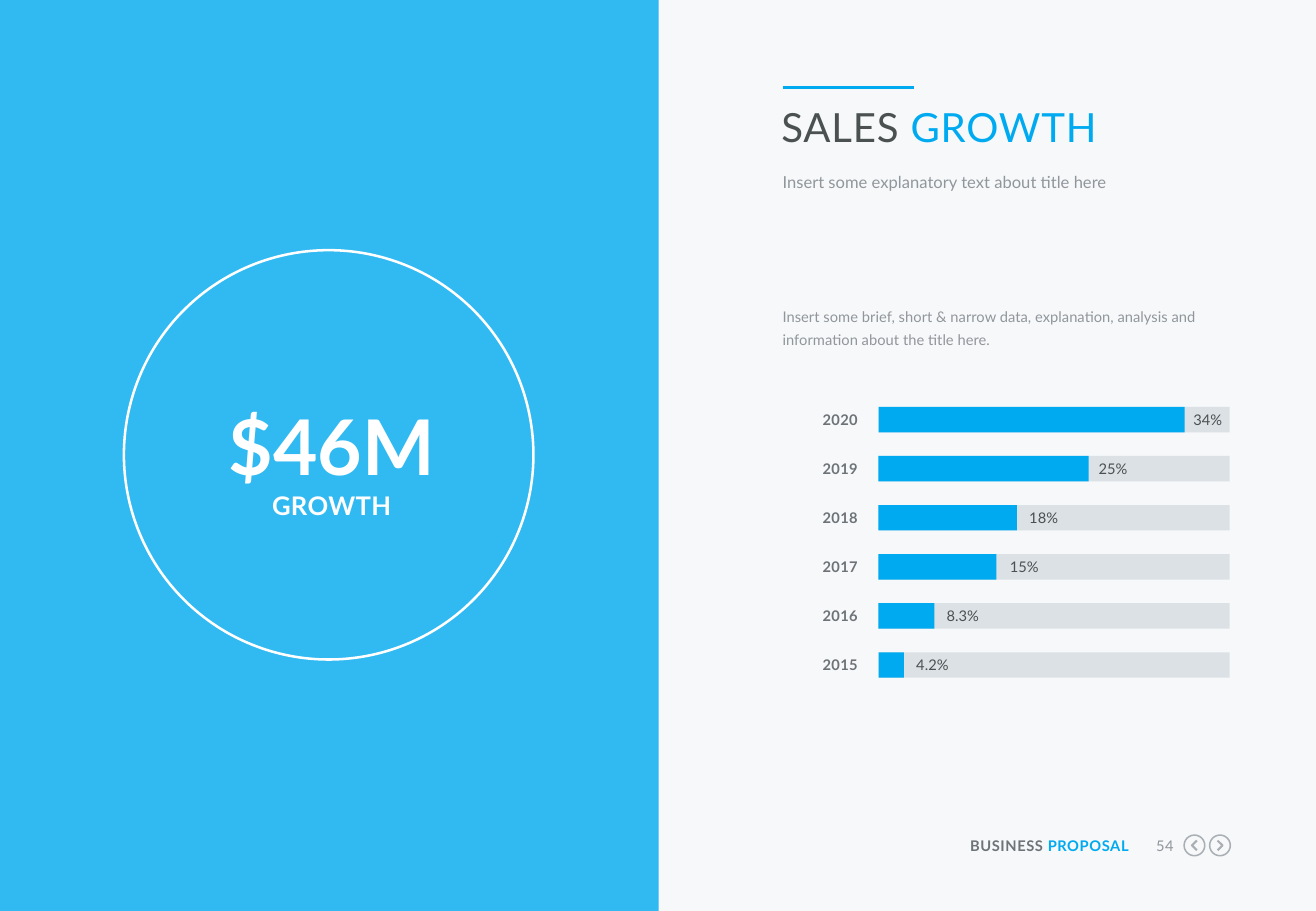
from dataclasses import dataclass

from lxml import etree
from pptx import Presentation
from pptx import util as u
from pptx.dml.color import RGBColor
from pptx.enum import shapes, text
from pptx.oxml.ns import qn

COLORS = {
    "background": "F6F8FA",
    "accent": "00AAF0",
    "track": "DCE1E6",
    "dark": "4B5050",
    "label": "6E7378",
    "muted": "91969B",
    "button": "AAAFB4",
    "white": "FFFFFF",
}
FONT = "Lato"
SMALL = 8.7
LEFT, RIGHT = text.PP_ALIGN.LEFT, text.PP_ALIGN.RIGHT
CENTER = text.PP_ALIGN.CENTER
RECTANGLE, OVAL = shapes.MSO_SHAPE.RECTANGLE, shapes.MSO_SHAPE.OVAL


@dataclass
class Area:
    left: float
    top: float
    width: float
    height: float

    def lengths(self) -> list:
        return [u.Inches(v) for v in (self.left, self.top, self.width, self.height)]


@dataclass
class Span:
    words: str
    size: float
    color: str
    bold: bool = False
    spacing: float = 0


@dataclass
class Bar:
    year: str
    share: str
    width: float
    share_left: float


@dataclass
class Button:
    center: float
    direction: int


BARS = [
    Bar("2020", "34%", 2.52, 9.82),
    Bar("2019", "25%", 1.73, 9.04),
    Bar("2018", "18%", 1.14, 8.47),
    Bar("2017", "15%", 0.97, 8.31),
    Bar("2016", "8.3%", 0.46, 7.79),
    Bar("2015", "4.2%", 0.21, 7.54),
]
BAR_LEFT, BAR_TOP, BAR_HEIGHT = 7.23, 3.35, 0.21
TRACK_WIDTH = 2.89
BAR_PITCH = (5.37 - BAR_TOP) / (len(BARS) - 1)
BUTTONS = [Button(9.83, -1), Button(10.04, 1)]
BUTTON_MIDDLE, BUTTON_SIZE = 6.96, 0.17


def rgb(name: str) -> RGBColor:
    return RGBColor.from_string(COLORS[name])


def fill_frame(frame, spans: list[Span], align=LEFT, line_spacing=1.0) -> None:
    """Write one paragraph of spans into a text frame without margins."""
    frame.margin_left = frame.margin_right = frame.margin_top = frame.margin_bottom = 0
    frame.word_wrap = True
    frame.auto_size = text.MSO_AUTO_SIZE.NONE
    frame.vertical_anchor = text.MSO_ANCHOR.TOP
    para = frame.paragraphs[0]
    para.alignment = align
    para.line_spacing = line_spacing
    for span in spans:
        run = para.add_run()
        run.text = span.words
        run.font.name = FONT
        run.font.size = u.Pt(span.size)
        run.font.bold = span.bold
        run.font.color.rgb = rgb(span.color)
        if span.spacing:
            run.font._element.set("spc", str(round(span.spacing * 100)))


def add_text(page, area: Area, *spans: Span, align=LEFT, line_spacing=1.0) -> None:
    box = page.shapes.add_textbox(*area.lengths())
    fill_frame(box.text_frame, list(spans), align, line_spacing)


def add_solid(parent, area: Area, color: str):
    shape = parent.shapes.add_shape(RECTANGLE, *area.lengths())
    shape.shadow.inherit = False
    shape.fill.solid()
    shape.fill.fore_color.rgb = rgb(color)
    shape.line.fill.background()
    return shape


def outline(shape, color: str, width: float) -> None:
    shape.shadow.inherit = False
    shape.fill.background()
    shape.line.color.rgb = rgb(color)
    shape.line.width = u.Pt(width)


def add_ring(page, area: Area, color: str, width: float) -> None:
    outline(page.shapes.add_shape(OVAL, *area.lengths()), color, width)


def add_button(page, button: Button) -> None:
    """Draw a ring with a chevron that points in the button's direction."""
    half = BUTTON_SIZE / 2
    area = Area(button.center - half, BUTTON_MIDDLE - half, BUTTON_SIZE, BUTTON_SIZE)
    add_ring(page, area, "button", 0.9)
    reach = 0.02 * button.direction
    tail, tip = u.Inches(button.center - reach), u.Inches(button.center + reach)
    upper, lower = u.Inches(BUTTON_MIDDLE - 0.04), u.Inches(BUTTON_MIDDLE + 0.04)
    builder = page.shapes.build_freeform(tail, upper)
    builder.add_line_segments([(tip, u.Inches(BUTTON_MIDDLE)), (tail, lower)], close=False)
    outline(builder.convert_to_shape(), "button", 1.25)


def add_bar(page, bar: Bar, top: float) -> None:
    add_text(page, Area(6.43, top + 0.03, 0.63, 0.15),
             Span(bar.year, SMALL, "label", True, 0.2), align=RIGHT)
    group = page.shapes.add_group_shape()
    for width, color in ((TRACK_WIDTH, "track"), (bar.width, "accent")):
        add_solid(group, Area(BAR_LEFT, top, width, BAR_HEIGHT), color)
    add_text(page, Area(bar.share_left, top + 0.03, 0.29, 0.15),
             Span(bar.share, SMALL, "dark"))


def add_title(page) -> None:
    title = page.shapes.title
    title.left, title.top, title.width, title.height = Area(6.43, 0.84, 3.7, 0.4).lengths()
    fill_frame(title.text_frame, [Span("SALES ", 23.8, "dark", spacing=0.5),
                                  Span("GROWTH", 23.8, "accent", spacing=0.5)])
    rule = page.shapes.add_connector(
        shapes.MSO_CONNECTOR.STRAIGHT,
        u.Inches(6.44), u.Inches(0.72), u.Inches(7.52), u.Inches(0.72))
    rule.line.color.rgb = rgb("accent")
    rule.line.width = u.Pt(2.25)
    etree.SubElement(rule._element.spPr, qn("a:effectLst"))
    add_text(page, Area(6.44, 1.41, 3.69, 0.17),
             Span("Insert some explanatory text about title here", 9.8, "muted"),
             line_spacing=u.Pt(12))


def add_footer(page) -> None:
    add_text(page, Area(7.92, 6.89, 1.37, 0.15),
             Span("BUSINESS ", SMALL, "label", True, 0.3),
             Span("PROPOSAL", SMALL, "accent", True, 0.3), align=RIGHT)
    add_text(page, Area(9.41, 6.89, 0.25, 0.15),
             Span("54", SMALL, "muted", spacing=0.3), align=RIGHT)
    for button in BUTTONS:
        add_button(page, button)


def add_growth_panel(page) -> None:
    panel = add_solid(page, Area(0, 0, 5.42, 7.5), "accent")
    color = panel._element.spPr.find(qn("a:solidFill")).find(qn("a:srgbClr"))
    etree.SubElement(color, qn("a:alpha"), val="80000")
    add_ring(page, Area(1.02, 2.06, 3.37, 3.37), "white", 1.5)
    add_text(page, Area(1.6, 3.13, 2.26, 0.92),
             Span("$46M", 45.5, "white", True), align=CENTER, line_spacing=1.2)
    add_text(page, Area(1.6, 4.03, 2.26, 0.26),
             Span("GROWTH", 15.2, "white", True, 0.2), align=CENTER)


def main() -> None:
    deck = Presentation()
    deck.slide_width, deck.slide_height = u.Inches(10.83), u.Inches(7.5)
    page = deck.slides.add_slide(deck.slide_layouts.get_by_name("Title Only"))
    page.background.fill.solid()
    page.background.fill.fore_color.rgb = rgb("background")
    add_footer(page)
    add_growth_panel(page)
    add_title(page)
    add_text(page, Area(6.44, 2.49, 3.68, 0.38),
             Span("Insert some brief, short & narrow data, explanation, analysis and "
                  "information about the title here.", SMALL, "muted"), line_spacing=1.3)
    for index, bar in enumerate(BARS):
        add_bar(page, bar, BAR_TOP + index * BAR_PITCH)
    deck.save("out.pptx")


if __name__ == "__main__":
    main()
